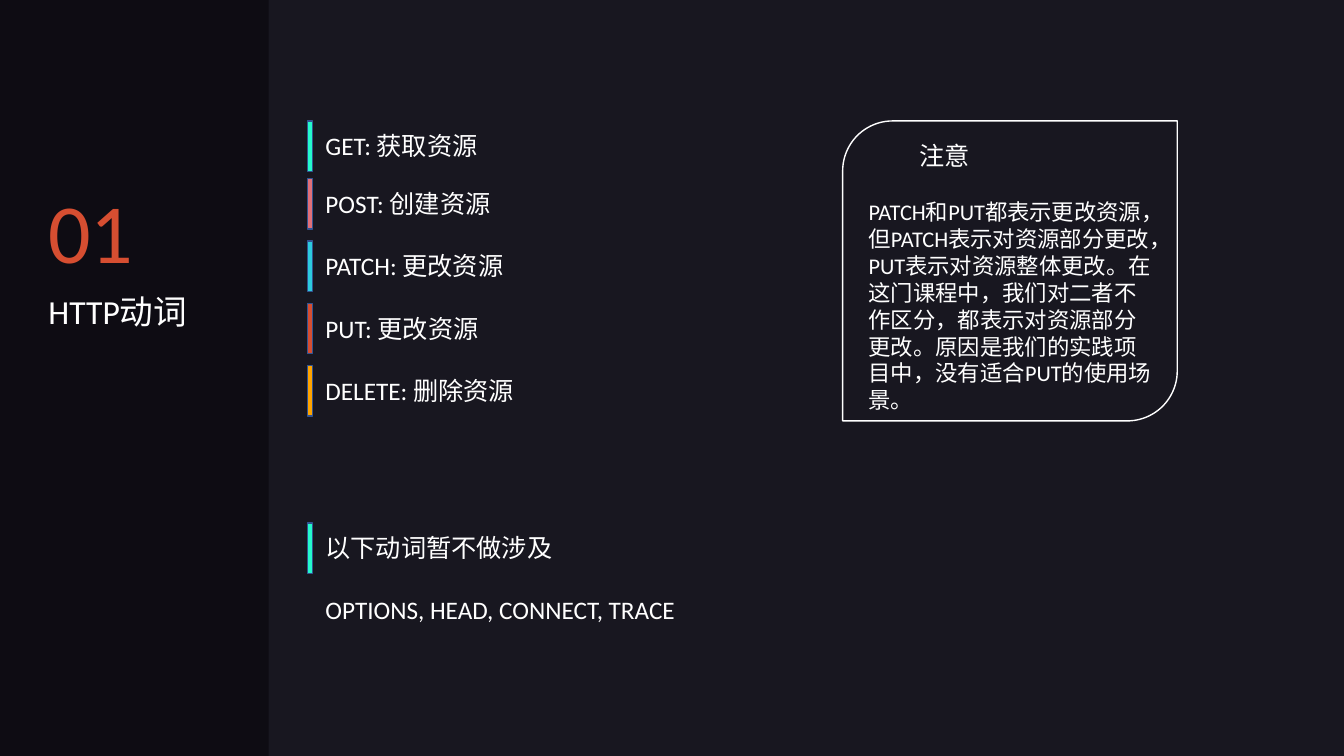
from dataclasses import dataclass

from pptx import Presentation
from pptx.dml.color import RGBColor
from pptx.enum.shapes import MSO_SHAPE
from pptx.enum.text import MSO_ANCHOR, MSO_AUTO_SIZE, PP_ALIGN
from pptx.shapes.autoshape import Shape
from pptx.slide import Slide
from pptx.text.text import TextFrame
from pptx.util import Pt

RECTANGLE = MSO_SHAPE.RECTANGLE
NOTE_OUTLINE = MSO_SHAPE.ROUND_2_DIAG_RECTANGLE
TOP = MSO_ANCHOR.TOP
LEFT = PP_ALIGN.LEFT
FIT_SHAPE = MSO_AUTO_SIZE.SHAPE_TO_FIT_TEXT

FONT = "Calibri"
COLORS = {
    "background": "181720",
    "sidebar": "0E0C13",
    "text": "FFFFFF",
    "bar_line": "325491",
    "mint": "24F9CB",
    "pink": "E17079",
    "cyan": "2CCBDE",
    "red": "D64E31",
    "orange": "FFA400",
}


@dataclass(frozen=True)
class Box:
    left: float
    top: float
    width: float
    height: float


@dataclass(frozen=True)
class Entry:
    text: str
    color: str
    top: float


BAR_LEFT, BAR_WIDTH, BAR_HEIGHT = 219.6, 3.6, 36
ENTRY_LEFT, ENTRY_WIDTH, ENTRY_HEIGHT = 225.4, 489.6, 28.8
ENTRY_DROP = 3.3
POST_TOP, VERB_PITCH = 127.5, 44.6

ENTRIES = [
    Entry("GET: 获取资源", "mint", 86.4),
    Entry("POST: 创建资源", "pink", POST_TOP),
    Entry("PATCH: 更改资源", "cyan", POST_TOP + VERB_PITCH),
    Entry("PUT: 更改资源", "red", POST_TOP + 2 * VERB_PITCH),
    Entry("DELETE: 删除资源", "orange", POST_TOP + 3 * VERB_PITCH),
    Entry("以下动词暂不做涉及", "mint", 373.6),
]
NOTE = (
    "PATCH和PUT都表示更改资源，但PATCH表示对资源部分更改，"
    "PUT表示对资源整体更改。在这门课程中，我们对二者不作区分，"
    "都表示对资源部分更改。原因是我们的实践项目中，没有适合PUT的使用场景。"
)


def rgb(name: str) -> RGBColor:
    return RGBColor.from_string(COLORS[name])


def write(frame: TextFrame, text: str, size: float, color: str = "text") -> None:
    paragraph = frame.paragraphs[0]
    paragraph.alignment = LEFT
    run = paragraph.add_run()
    run.text = text
    run.font.size = Pt(size)
    run.font.name = FONT
    run.font.color.rgb = rgb(color)


def add_text(slide: Slide, box: Box, text: str, size: float,
             color: str = "text", wrap: bool = True) -> None:
    frame = slide.shapes.add_textbox(
        Pt(box.left), Pt(box.top), Pt(box.width), Pt(box.height)).text_frame
    frame.word_wrap = wrap
    frame.auto_size = FIT_SHAPE
    write(frame, text, size, color)


def add_panel(slide: Slide, box: Box, fill: str | None = None,
              line: str | None = None, kind: MSO_SHAPE = RECTANGLE) -> Shape:
    """Draw a shape; a missing fill or line colour leaves that part empty."""
    panel = slide.shapes.add_shape(
        kind, Pt(box.left), Pt(box.top), Pt(box.width), Pt(box.height))
    panel.shadow.inherit = False
    if fill:
        panel.fill.solid()
        panel.fill.fore_color.rgb = rgb(fill)
    else:
        panel.fill.background()
    if line:
        panel.line.color.rgb = rgb(line)
        panel.line.width = Pt(1)
    else:
        panel.line.fill.background()
    return panel


def place_title(slide: Slide, box: Box, text: str) -> None:
    title = slide.shapes.title
    title.left, title.top = Pt(box.left), Pt(box.top)
    title.width, title.height = Pt(box.width), Pt(box.height)
    frame = title.text_frame
    frame.word_wrap = True
    frame.auto_size = FIT_SHAPE
    frame.vertical_anchor = TOP
    write(frame, text, 24)


def add_entry(slide: Slide, entry: Entry) -> None:
    add_panel(slide, Box(BAR_LEFT, entry.top, BAR_WIDTH, BAR_HEIGHT),
              entry.color, "bar_line")
    add_text(slide, Box(ENTRY_LEFT, entry.top + ENTRY_DROP, ENTRY_WIDTH,
                        ENTRY_HEIGHT), entry.text, 18)


def main() -> None:
    deck = Presentation()
    deck.slide_width, deck.slide_height = Pt(960), Pt(540)
    slide = deck.slides.add_slide(deck.slide_layouts[5])
    slide.background.fill.solid()
    slide.background.fill.fore_color.rgb = rgb("background")

    sidebar = add_panel(slide, Box(0, 0, 192, 540), "sidebar")
    slide.shapes.title.element.addprevious(sidebar.element)
    add_text(slide, Box(27.4, 124.6, 75.6, 80), "01", 60, "red", wrap=False)
    place_title(slide, Box(27.4, 204.5, 114.5, 65), "HTTP动词")

    for entry in ENTRIES:
        add_entry(slide, entry)
    add_text(slide, Box(ENTRY_LEFT, 421.2, ENTRY_WIDTH, ENTRY_HEIGHT),
             "OPTIONS, HEAD, CONNECT, TRACE", 18)

    add_panel(slide, Box(601.9, 86.4, 239, 214.3), line="text",
              kind=NOTE_OUTLINE)
    add_text(slide, Box(649.4, 96.5, 51, 28.8), "注意", 18, wrap=False)
    add_text(slide, Box(613.4, 138.2, 218.9, 162.7), NOTE, 16)

    deck.save("out.pptx")


if __name__ == "__main__":
    main()
